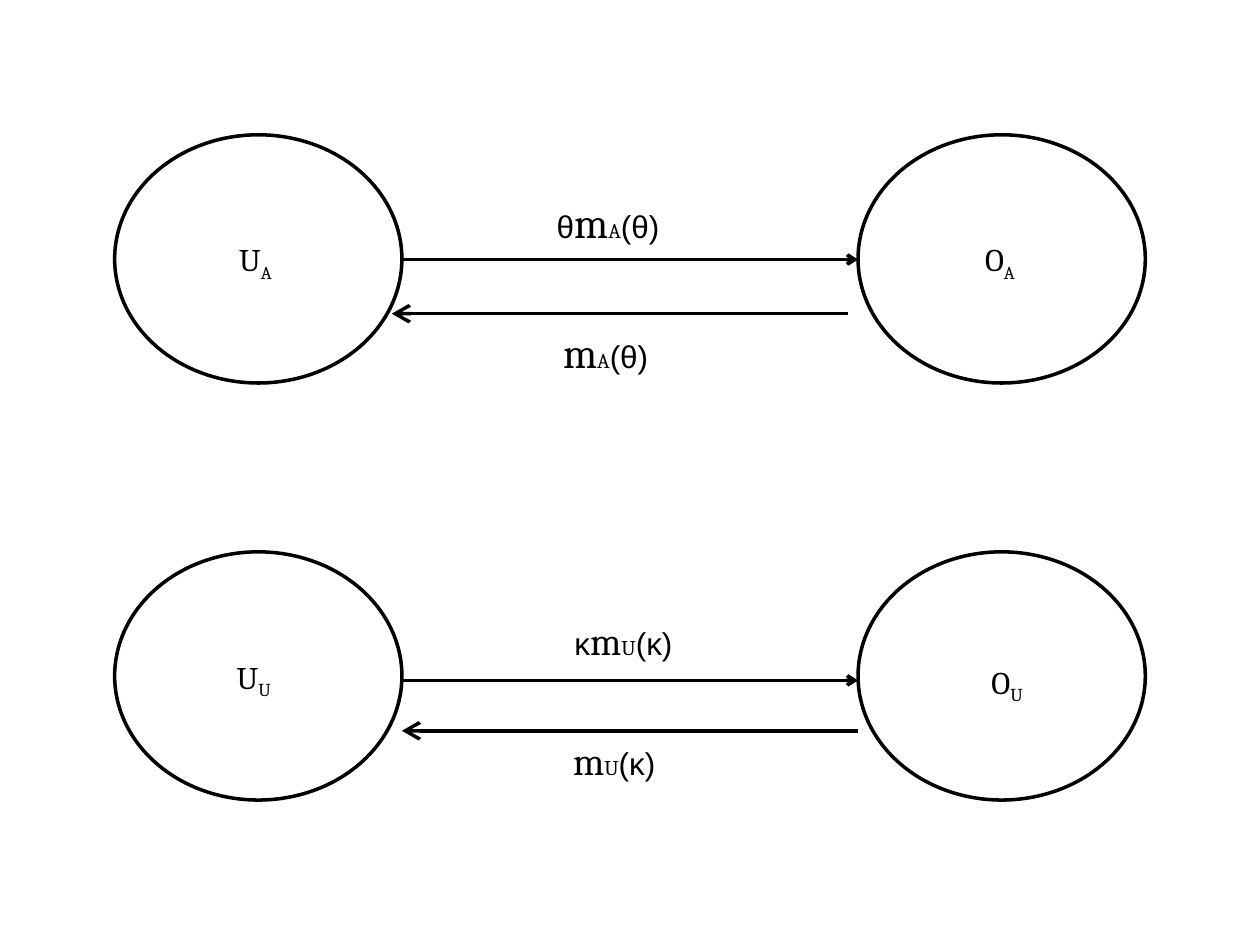
from pptx import Presentation
from pptx.dml.color import RGBColor
from pptx.enum.shapes import MSO_CONNECTOR as Connector, MSO_SHAPE as Shape
from pptx.enum.text import MSO_AUTO_SIZE as AutoSize
from pptx.oxml.ns import qn
from pptx.util import Inches, Pt
from lxml.etree import SubElement

BLACK = "000000"
CIRCLE_LEFTS = (0.91, 6.81)
CIRCLE_TOPS = (1.07, 4.38)
CIRCLE_SIZE = (2.28, 1.97)
ARROW_LENGTH = CIRCLE_LEFTS[1] - CIRCLE_LEFTS[0] - CIRCLE_SIZE[0]
ARROWS = [
    (3.19, 2.06, "tailEnd", "med"),
    (3.19, 5.40, "tailEnd", "med"),
    (3.11, 2.49, "headEnd", "lg"),
    (3.19, 5.80, "headEnd", "lg"),
]
NODES = [
    (1.80, 1.86, "U", "A"),
    (1.78, 5.17, "U", "U"),
    (7.72, 1.86, "O", "A"),
    (7.77, 5.21, "O", "U"),
]
FLOWS = [
    (4.32, 1.51, 1.02, 0.50, "θ", 24, "A", "(θ)"),
    (4.46, 4.85, 1.01, 0.47, "κ", 22, "U", "(κ)"),
    (4.45, 5.80, 0.87, 0.47, "", 22, "U", "(κ)"),
    (4.37, 2.54, 0.88, 0.50, "", 24, "A", "(θ)"),
]


def color(value):
    """Return the colour for a hex string."""
    return RGBColor.from_string(value)


def add_circle(slide, left, top):
    """Draw one outlined state."""
    circle = slide.shapes.add_shape(
        Shape.OVAL, Inches(left), Inches(top), *map(Inches, CIRCLE_SIZE))
    circle.shadow.inherit = False
    circle.fill.background()
    circle.line.color.rgb = color(BLACK)
    circle.line.width = Pt(2)


def add_arrow(slide, left, y, end, size):
    """Draw one horizontal arrow with its head at the given end."""
    arrow = slide.shapes.add_connector(
        Connector.STRAIGHT, Inches(left), Inches(y), Inches(left + ARROW_LENGTH), Inches(y))
    arrow.line.color.rgb = color(BLACK)
    arrow.line.width = Pt(2)
    SubElement(arrow.line._get_or_add_ln(), qn("a:" + end), type="arrow", w=size, len=size)
    SubElement(arrow._element.spPr, qn("a:effectLst"))


def add_label(slide, left, top, width, height, parts):
    """Write a label from (text, size, font, baseline) parts."""
    box = slide.shapes.add_textbox(*map(Inches, (left, top, width, height)))
    frame = box.text_frame
    frame.word_wrap = False
    frame.auto_size = AutoSize.SHAPE_TO_FIT_TEXT
    paragraph = frame.paragraphs[0]
    paragraph.font.color.rgb = color(BLACK)
    for text, size, font, baseline in parts:
        run = paragraph.add_run()
        run.text = text
        run.font.size = Pt(size)
        run.font.name = font
        if baseline:
            run._r.get_or_add_rPr().set("baseline", str(baseline * 1000))


presentation = Presentation()
presentation.slide_width, presentation.slide_height = Inches(10), Inches(7.5)
slide = presentation.slides.add_slide(presentation.slide_layouts[6])

for top in CIRCLE_TOPS:
    for left in CIRCLE_LEFTS:
        add_circle(slide, left, top)
for arrow in ARROWS:
    add_arrow(slide, *arrow)
for left, top, letter, index in NODES:
    add_label(slide, left, top, 0.51, 0.4,
              [(letter, 18, "Cambria", 0), (index, 18, "Cambria", -25)])
for left, top, width, height, factor, size, index, argument in FLOWS:
    parts = [(factor, 18, "Arial", 0), ("m", size, "Cambria", 0),
             (index, 12, "Cambria", 0), (argument, 18, "Arial", 0)]
    add_label(slide, left, top, width, height, [part for part in parts if part[0]])

presentation.save("out.pptx")
